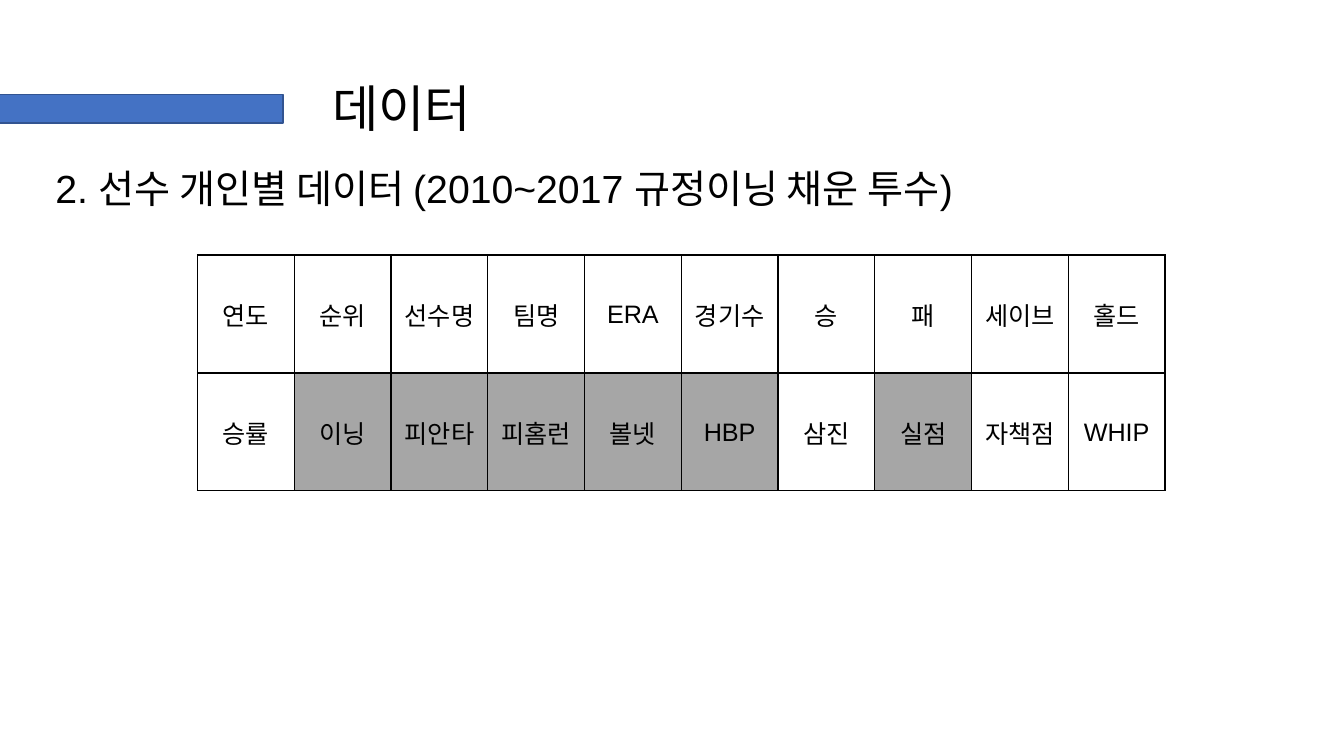
from dataclasses import dataclass

from lxml.etree import SubElement
from pptx import Presentation
from pptx.dml.color import RGBColor
from pptx.enum.shapes import MSO_SHAPE
from pptx.enum.text import MSO_ANCHOR, MSO_AUTO_SIZE, PP_ALIGN
from pptx.oxml.ns import qn
from pptx.slide import Slide
from pptx.table import _Cell
from pptx.text.text import _Paragraph
from pptx.util import Pt

COLORS = {"text": "000000", "shade": "A6A6A6", "bar": "4472C4", "bar_line": "325491"}
FONT = "Arial"
TABLE_LEFT, TABLE_TOP = 141.12, 182.16
COLUMN_WIDTH, ROW_HEIGHT = 69.12, 84.24
SHADED_COLUMNS = (1, 2, 3, 4, 5, 7)
FIELDS = (
    ("연도", "순위", "선수명", "팀명", "ERA", "경기수", "승", "패", "세이브", "홀드"),
    ("승률", "이닝", "피안타", "피홈런", "볼넷", "HBP", "삼진", "실점", "자책점", "WHIP"),
)


@dataclass(frozen=True)
class Block:
    left: float
    top: float
    width: float
    height: float
    fill: str
    line: str = ""


@dataclass(frozen=True)
class Heading:
    left: float
    top: float
    width: float
    height: float
    text: str
    size: float
    alignment: PP_ALIGN


SHADES = [
    Block(TABLE_LEFT + column * COLUMN_WIDTH, TABLE_TOP + ROW_HEIGHT,
          COLUMN_WIDTH, ROW_HEIGHT, "shade")
    for column in SHADED_COLUMNS
]
BAR = Block(-203.04, 67.68, 405.36, 20.16, "bar", "bar_line")
HEADINGS = (
    Heading(-27.36, 51.84, 628.56, 51.12, "데이터", 36, PP_ALIGN.CENTER),
    Heading(32.4, 113.76, 680.4, 41.04,
            "2. 선수 개인별 데이터 (2010~2017 규정이닝 채운 투수)", 28, PP_ALIGN.LEFT),
)


def color(name: str) -> RGBColor:
    return RGBColor.from_string(COLORS[name])


def format_text(paragraph: _Paragraph, size: float, alignment: PP_ALIGN) -> None:
    paragraph.alignment = alignment
    for span in paragraph.runs:
        span.font.name = FONT
        span.font.size = Pt(size)
        span.font.color.rgb = color("text")


def draw_block(page: Slide, block: Block) -> None:
    shape = page.shapes.add_shape(
        MSO_SHAPE.RECTANGLE, Pt(block.left), Pt(block.top), Pt(block.width), Pt(block.height))
    shape.shadow.inherit = False
    shape.fill.solid()
    shape.fill.fore_color.rgb = color(block.fill)
    if block.line:
        shape.line.color.rgb = color(block.line)
        shape.line.width = Pt(1)
    else:
        shape.line.fill.background()


def draw_heading(page: Slide, heading: Heading) -> None:
    box = page.shapes.add_textbox(
        Pt(heading.left), Pt(heading.top), Pt(heading.width), Pt(heading.height))
    frame = box.text_frame
    frame.word_wrap = True
    frame.auto_size = MSO_AUTO_SIZE.SHAPE_TO_FIT_TEXT
    frame.text = heading.text
    format_text(frame.paragraphs[0], heading.size, heading.alignment)


def add_borders(cell: _Cell) -> None:
    properties = cell._tc.get_or_add_tcPr()
    for side in ("a:lnL", "a:lnR", "a:lnT", "a:lnB"):
        line = SubElement(properties, qn(side), w=str(Pt(1)))
        fill = SubElement(line, qn("a:solidFill"))
        SubElement(fill, qn("a:srgbClr"), val=COLORS["text"])


def draw_table(page: Slide) -> None:
    row_count, column_count = len(FIELDS), len(FIELDS[0])
    table = page.shapes.add_table(
        row_count, column_count, Pt(TABLE_LEFT), Pt(TABLE_TOP),
        Pt(column_count * COLUMN_WIDTH), Pt(row_count * ROW_HEIGHT)).table
    table.first_row = False
    table.horz_banding = False
    for column in table.columns:
        column.width = Pt(COLUMN_WIDTH)
    for row, labels in zip(table.rows, FIELDS):
        row.height = Pt(ROW_HEIGHT)
        for cell, label in zip(row.cells, labels):
            cell.text_frame.text = label
            cell.vertical_anchor = MSO_ANCHOR.MIDDLE
            cell.margin_left = cell.margin_right = cell.margin_top = Pt(0.72)
            cell.margin_bottom = Pt(0)
            add_borders(cell)
            cell.fill.background()
            format_text(cell.text_frame.paragraphs[0], 18, PP_ALIGN.CENTER)


def main() -> None:
    deck = Presentation()
    deck.slide_width, deck.slide_height = Pt(960), Pt(540)
    page = deck.slides.add_slide(deck.slide_layouts[6])
    title, subtitle = HEADINGS
    for block in (*SHADES, BAR):
        draw_block(page, block)
    draw_heading(page, title)
    draw_table(page)
    draw_heading(page, subtitle)
    deck.save("out.pptx")


if __name__ == "__main__":
    main()
